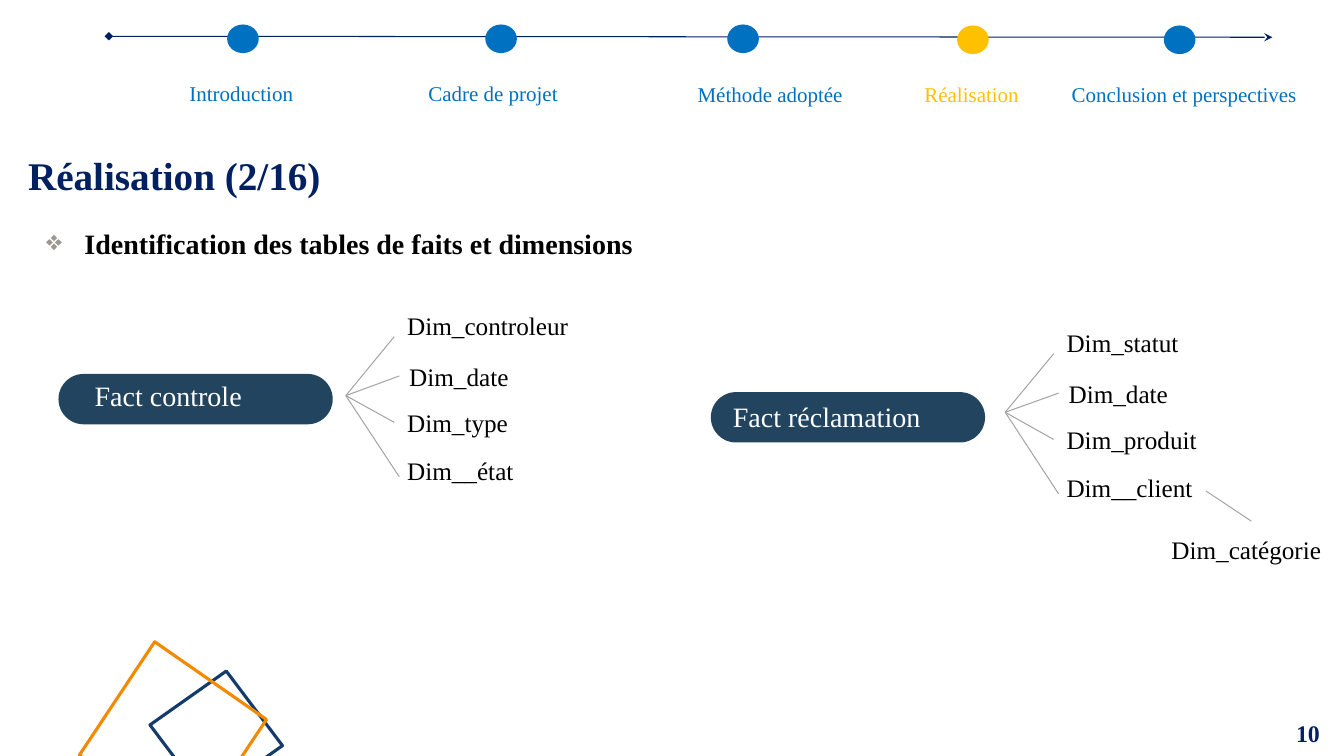
from dataclasses import dataclass

from lxml import etree
from pptx import Presentation
from pptx.dml.color import RGBColor
from pptx.enum import shapes, text
from pptx.oxml import ns
from pptx.util import Inches, Pt


@dataclass(frozen=True)
class Theme:
    font: str = "Times New Roman"
    navy: str = "002060"
    blue: str = "0070C0"
    amber: str = "FFC000"
    slate: str = "22445F"
    gray: str = "A5A5A5"
    bullet: str = "9E978E"
    deep_blue: str = "143C6A"
    orange: str = "F28A00"
    black: str = "000000"
    white: str = "FFFFFF"
    step_size: float = 15
    number_size: float = 17
    dimension_size: float = 18
    body_size: float = 20
    title_size: float = 28
    thin: float = 0.75
    outline: float = 1
    thick: float = 2.25


class SlideBuilder:
    def __init__(self, slide, theme):
        self.slide = slide
        self.theme = theme

    def add_text(self, box, content, size, color, parent=None, bold=False,
                 anchor=text.MSO_ANCHOR.TOP, align=text.PP_ALIGN.LEFT,
                 fit=text.MSO_AUTO_SIZE.SHAPE_TO_FIT_TEXT, bullet=None):
        shape = (parent or self.slide).shapes.add_textbox(*map(Inches, box))
        frame = shape.text_frame
        frame_format = {"word_wrap": True, "auto_size": fit, "vertical_anchor": anchor}
        for name, value in frame_format.items():
            setattr(frame, name, value)
        paragraph = frame.paragraphs[0]
        paragraph.alignment = align
        if bullet:
            self.add_bullet(paragraph, bullet)
        run = paragraph.add_run()
        run.text = content
        font_format = {"name": self.theme.font, "size": Pt(size), "bold": bold}
        for name, value in font_format.items():
            setattr(run.font, name, value)
        run.font.color.rgb = RGBColor.from_string(color)
        return shape

    def add_bullet(self, paragraph, character):
        properties = paragraph._p.get_or_add_pPr()
        indent = Inches(0.38)
        properties.set("marL", str(indent))
        properties.set("indent", str(-indent))
        color = etree.SubElement(properties, ns.qn("a:buClr"))
        etree.SubElement(color, ns.qn("a:srgbClr"), val=self.theme.bullet)
        etree.SubElement(properties, ns.qn("a:buChar"), char=character)

    def add_shape(self, kind, box, fill=None, line=None, width=1, rotation=0):
        shape = self.slide.shapes.add_shape(kind, *map(Inches, box))
        shape.shadow.inherit = False
        shape.rotation = rotation
        if fill:
            shape.fill.solid()
            shape.fill.fore_color.rgb = RGBColor.from_string(fill)
        else:
            shape.fill.background()
        if line:
            shape.line.color.rgb = RGBColor.from_string(line)
            shape.line.width = Pt(width)
        else:
            shape.line.fill.background()
        return shape

    def add_line(self, start, end, color, parent=None, head=None, tail=None):
        line = (parent or self.slide).shapes.add_connector(
            shapes.MSO_CONNECTOR.STRAIGHT, *map(Inches, (*start, *end)))
        line.line.color.rgb = RGBColor.from_string(color)
        line.line.width = Pt(self.theme.thin)
        for tag, kind in (("a:headEnd", head), ("a:tailEnd", tail)):
            if kind:
                etree.SubElement(line.line._ln, ns.qn(tag), type=kind)
        etree.SubElement(line._element.spPr, ns.qn("a:effectLst"))
        return line

    def add_fact(self, pill_box, label_box, label):
        pill = self.add_shape(shapes.MSO_SHAPE.ROUNDED_RECTANGLE, pill_box, self.theme.slate)
        pill.adjustments[0] = 0.5
        return self.add_text(label_box, label, self.theme.body_size, self.theme.white)

    def add_dimension(self, box, label, parent=None):
        return self.add_text(box, label, self.theme.dimension_size, self.theme.black,
                             parent, anchor=text.MSO_ANCHOR.MIDDLE)

    def add_fan(self, x, y, labels, fact=None):
        group = self.slide.shapes.add_group_shape()
        branches = (
            (0.48, -0.58, 0.51, -0.89, 2.01),
            (0.53, -0.19, 0.53, -0.39, 1.48),
            (0.48, 0.27, 0.51, 0.07, 1.81),
            (0.53, 0.81, 0.51, 0.55, 2.33),
        )
        for label, (tip_x, tip_y, left, top, width) in zip(labels, branches):
            line = self.add_line((x, y), (x + tip_x, y + tip_y), self.theme.gray, group)
            dimension = self.add_dimension((x + left, y + top, width, 0.4), label, group)
            if fact:
                line.begin_connect(fact, 3)
            if tip_x == left:
                line.end_connect(dimension, 1)

    def add_timeline(self, steps):
        theme = self.theme
        self.add_line((1.08, 0.36), (12.62, 0.37), theme.navy, head="diamond", tail="stealth")
        for label, dot_left, dot_top, left, top, width, color in steps:
            self.add_shape(shapes.MSO_SHAPE.OVAL, (dot_left, dot_top, 0.3, 0.27),
                           color, color, theme.outline)
            self.add_text((left, top, width, 0.35), label, theme.step_size, color)


def main():
    presentation = Presentation()
    presentation.slide_width = Inches(13.33)
    presentation.slide_height = Inches(7.5)
    theme = Theme()
    builder = SlideBuilder(presentation.slides.add_slide(presentation.slide_layouts[6]), theme)

    builder.add_timeline((
        ("Introduction", 2.26, 0.25, 1.78, 0.75, 1.36, theme.blue),
        ("Cadre de projet", 4.82, 0.25, 4.15, 0.75, 2.21, theme.blue),
        ("Méthode adoptée", 7.22, 0.25, 6.82, 0.76, 1.81, theme.blue),
        ("Réalisation", 9.5, 0.26, 9.07, 0.76, 1.23, theme.amber),
        ("Conclusion et perspectives", 11.55, 0.26, 10.53, 0.76, 2.6, theme.blue),
    ))
    builder.add_text((0.18, 1.45, 3.14, 0.57), "Réalisation (2/16)",
                     theme.title_size, theme.navy, bold=True)
    builder.add_text((0.36, 2.2, 6.16, 0.44), "Identification des tables de faits et dimensions",
                     theme.body_size, theme.black, bold=True, bullet="❖")

    control = builder.add_fact((0.58, 3.71, 2.72, 0.5), (0.84, 3.71, 2.59, 0.43), "Fact controle")
    builder.add_fan(3.43, 3.92, ("Dim_controleur", "Dim_date", "Dim_type", "Dim__état"), control)
    builder.add_fact((7.05, 3.89, 2.72, 0.5), (7.17, 3.91, 2.59, 0.43), "Fact réclamation")
    builder.add_fan(9.97, 4.09, ("Dim_statut", "Dim_date", "Dim_produit", "Dim__client"))
    builder.add_line((11.96, 4.87), (12.41, 5.17), theme.gray)
    builder.add_dimension((11.52, 5.25, 1.81, 0.4), "Dim_catégorie")

    for box, color, rotation in (
        ((1.48, 6.65, 1.33, 1.29), theme.deep_blue, 8.9),
        ((0.75, 6.37, 1.93, 1.89), theme.orange, 79.2),
    ):
        builder.add_shape(shapes.MSO_SHAPE.DIAMOND, box, line=color,
                          width=theme.thick, rotation=rotation)
    builder.add_text((12.65, 7.03, 0.54, 0.48), "10", theme.number_size, theme.navy, bold=True,
                     anchor=text.MSO_ANCHOR.MIDDLE, align=text.PP_ALIGN.RIGHT,
                     fit=text.MSO_AUTO_SIZE.NONE)
    presentation.save("out.pptx")


if __name__ == "__main__":
    main()
